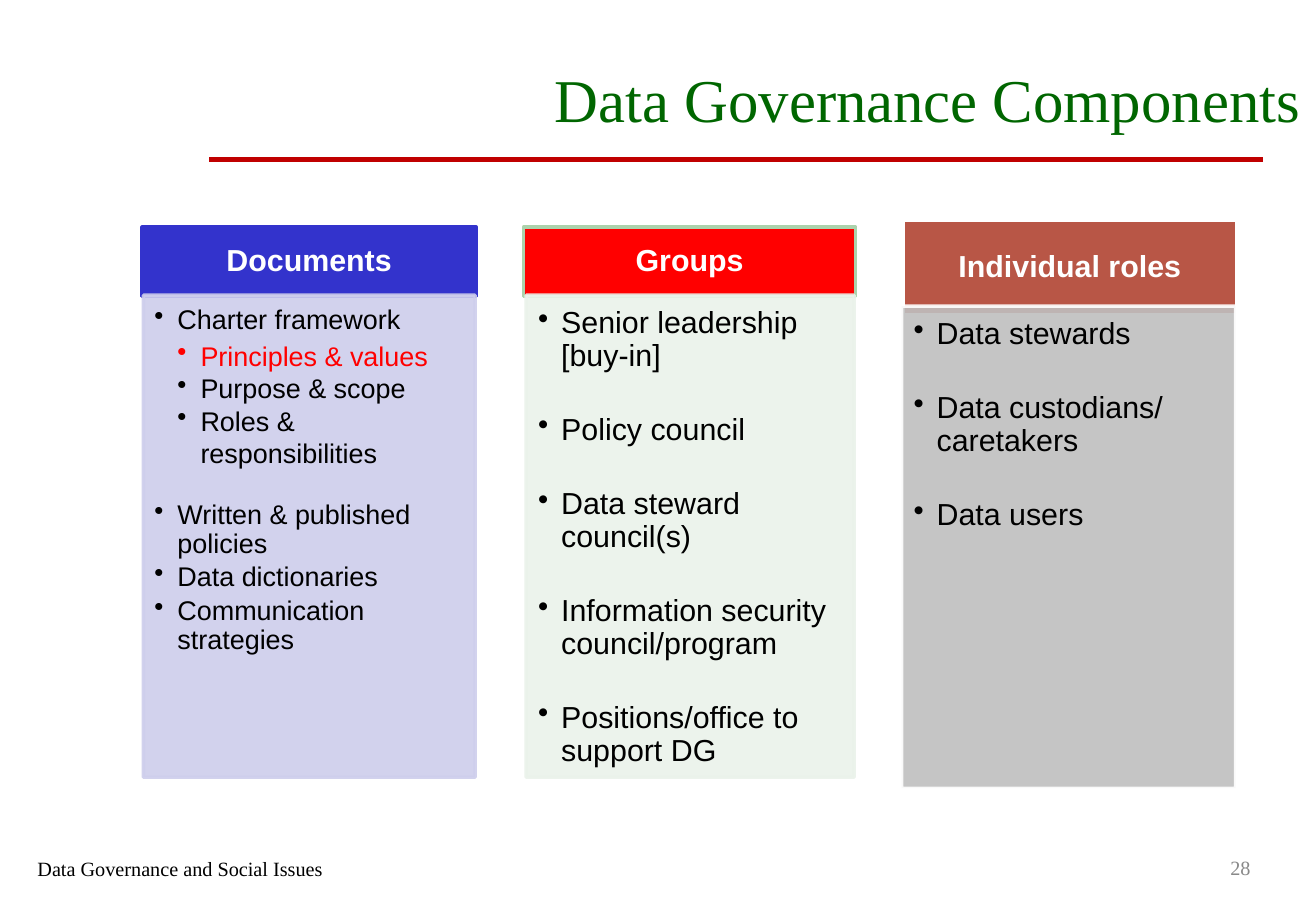
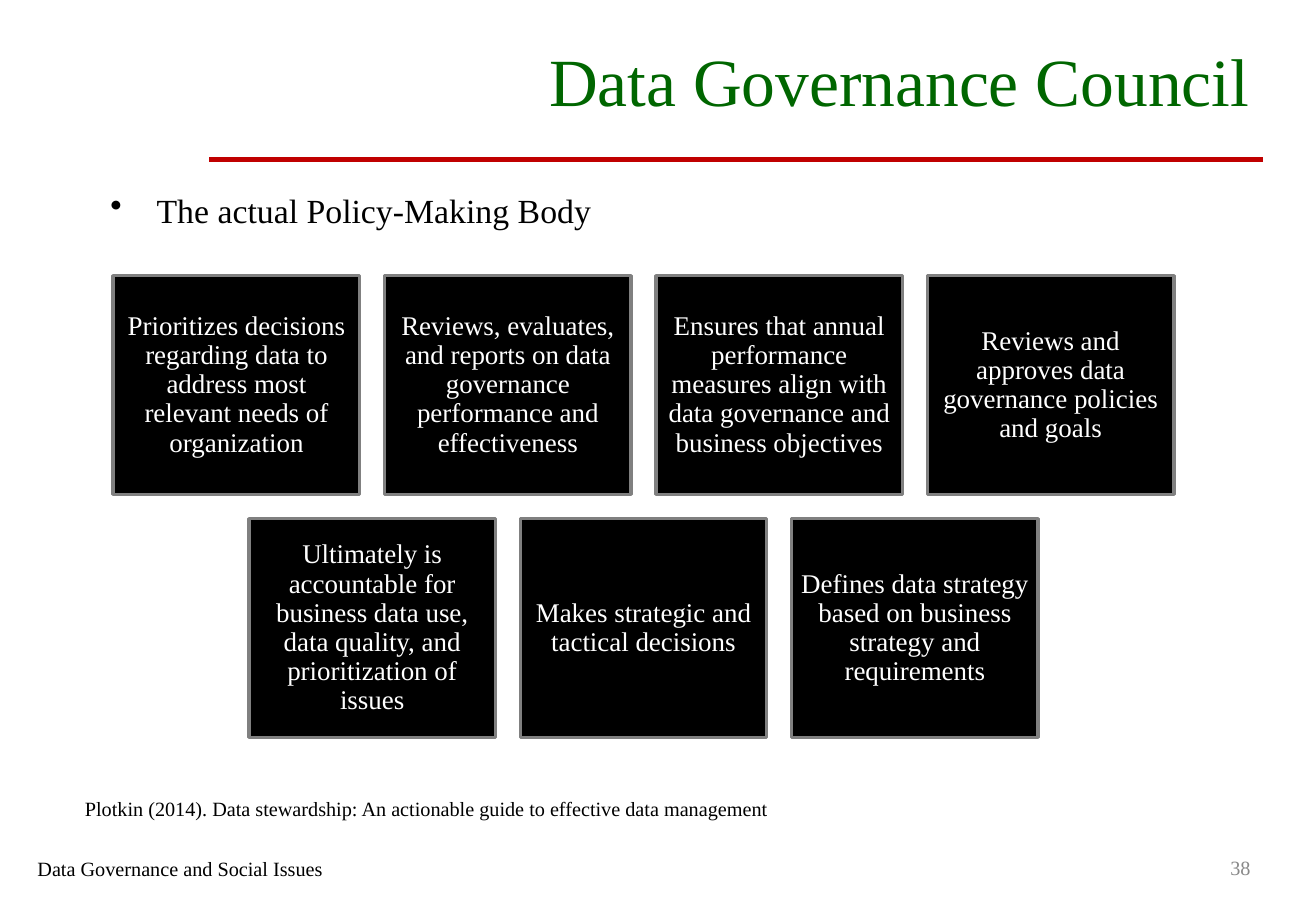
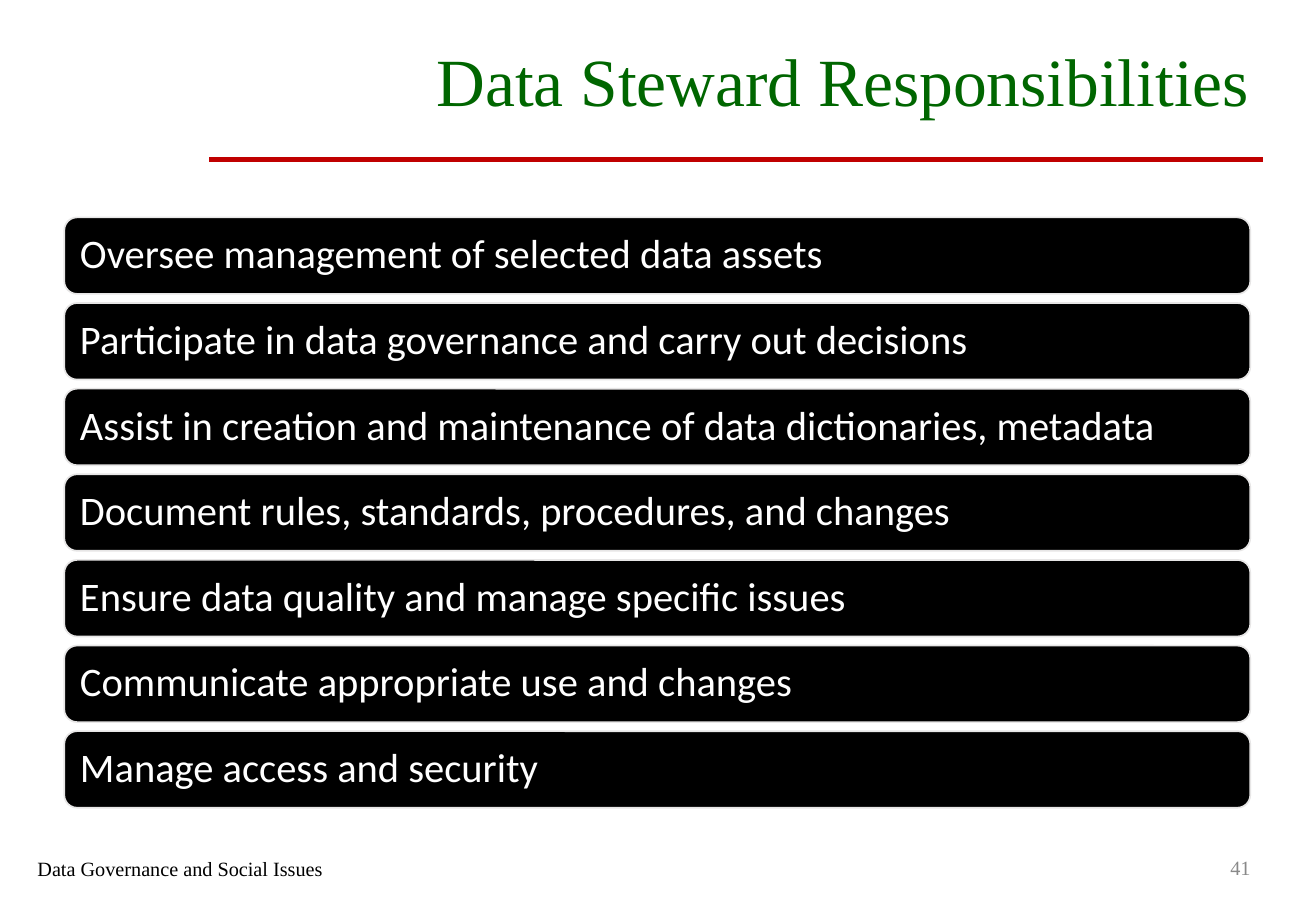
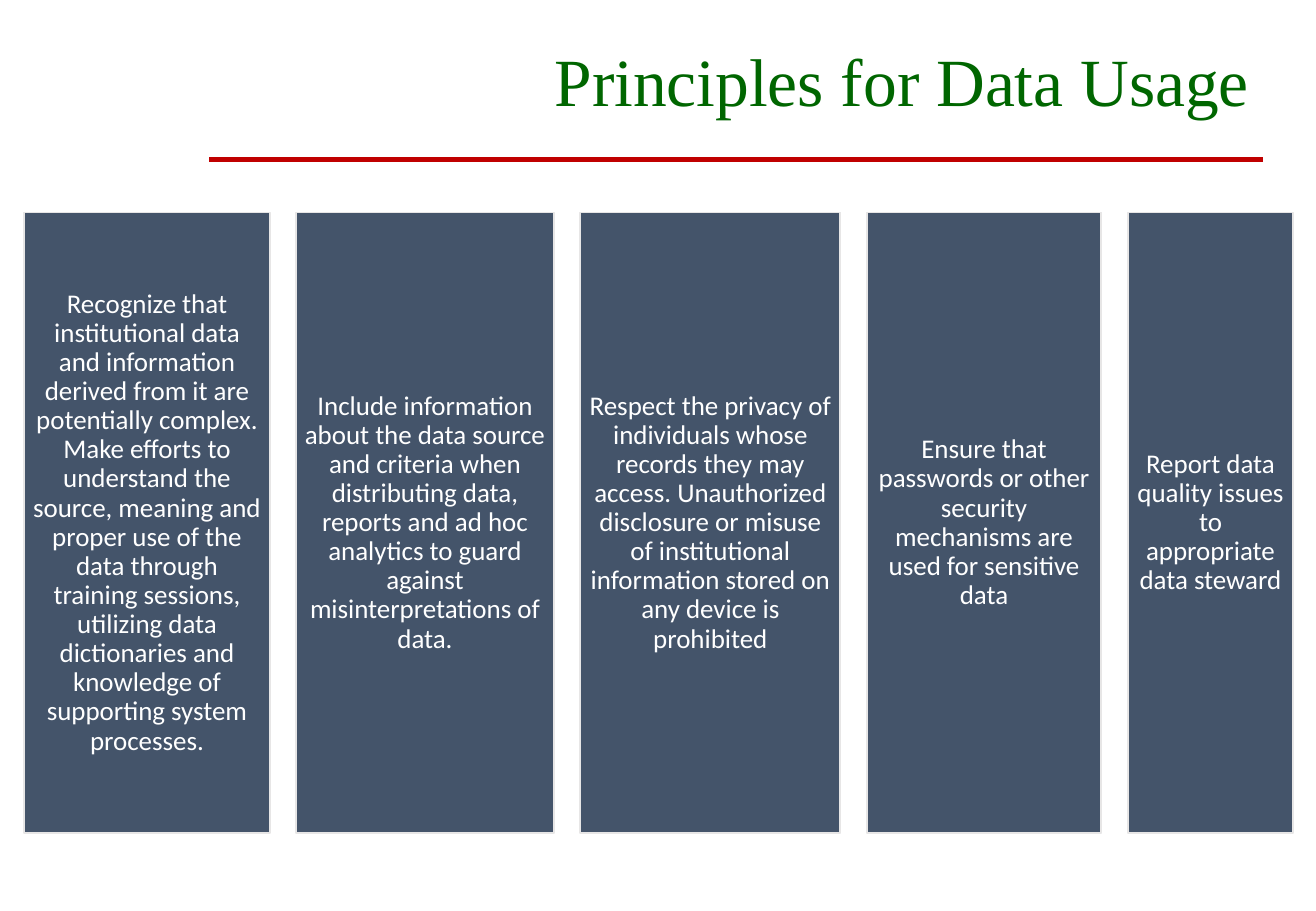
"""Builds four data governance slides on one shared frame."""
from dataclasses import dataclass
from typing import Any, Sequence

from lxml import etree
from pptx import Presentation
from pptx.dml.color import RGBColor
from pptx.enum.shapes import MSO_CONNECTOR, MSO_SHAPE
from pptx.enum.text import MSO_ANCHOR, PP_ALIGN
from pptx.oxml.ns import qn
from pptx.util import Inches, Pt

LEFT, CENTER, RIGHT = PP_ALIGN.LEFT, PP_ALIGN.CENTER, PP_ALIGN.RIGHT
TOP, MIDDLE = MSO_ANCHOR.TOP, MSO_ANCHOR.MIDDLE
RECTANGLE, ROUNDED = MSO_SHAPE.RECTANGLE, MSO_SHAPE.ROUNDED_RECTANGLE
STRAIGHT = MSO_CONNECTOR.STRAIGHT

BLACK = RGBColor(0x00, 0x00, 0x00)
WHITE = RGBColor(0xFF, 0xFF, 0xFF)
RED = RGBColor(0xFF, 0x00, 0x00)
TITLE_GREEN = RGBColor(0x00, 0x66, 0x00)
RULE_RED = RGBColor(0xC0, 0x00, 0x00)
NUMBER_GRAY = RGBColor(0x89, 0x89, 0x89)
TILE_GRAY = RGBColor(0x80, 0x80, 0x80)
PALE_GRAY = RGBColor(0xE7, 0xE6, 0xE6)
SLATE = RGBColor(0x44, 0x54, 0x6A)
BLUE = RGBColor(0x33, 0x33, 0xCC)
PALE_BLUE = RGBColor(0xCE, 0xCE, 0xEC)
GREEN_EDGE = RGBColor(0xAC, 0xD2, 0xAC)
PALE_GREEN = RGBColor(0xEA, 0xF2, 0xEA)
BRICK = RGBColor(0xB8, 0x56, 0x46)
SILVER = RGBColor(0xBF, 0xBF, 0xBF)

SERIF, SANS, HUMANIST = "Times New Roman", "Arial", "Calibri"
SLIDE_WIDTH, SLIDE_HEIGHT = Inches(10.83), Inches(7.5)
TEXT_INSETS = (0.1, 0.05, 0.1, 0.05)
TILE_INSETS = (0.07,) * 4
HEADER_INSETS = (0.14, 0.08, 0.14, 0.08)
BULLET_INDENT = 0.19
ITEM_GAP = 2.5
WIDE_GAP = 24.5
SECTION_GAP = 19


@dataclass(frozen=True)
class Box:
    """Area given in percent of the slide's width and height."""
    left: float
    top: float
    width: float
    height: float

    def lengths(self) -> tuple[int, int, int, int]:
        """Return the area as slide lengths."""
        return (across(self.left), down(self.top), across(self.width), down(self.height))


@dataclass(frozen=True)
class Style:
    """Look of a text block."""
    font: str
    size: float
    color: RGBColor
    bold: bool = False
    align: Any = LEFT
    anchor: Any = TOP
    insets: tuple[float, ...] = TEXT_INSETS


@dataclass(frozen=True)
class Item:
    """One paragraph with its indent in inches and spacing in points."""
    text: str
    color: RGBColor | None = None
    indent: float = 0
    hanging: float = 0
    line_spacing: float = 1.0
    space_before: float = 0
    space_after: float = 0


@dataclass(frozen=True)
class Paint:
    """Fill and outline of a shape."""
    fill: RGBColor
    line: RGBColor
    width: float
    opacity: int = 100


@dataclass(frozen=True)
class Column:
    """A header above a bulleted panel."""
    header: str
    header_box: Box
    header_paint: Paint
    panel_box: Box
    panel_paint: Paint
    panel_style: Style
    items: Sequence[Item]


TITLE_BOX = Box(18.01, 2.13, 77.84, 13.2)
WIDE_TITLE_BOX = Box(2.59, 4.13, 97.14, 13.2)
FOOTER_BOX = Box(1.94, 93.33, 24.75, 3.73)
NUMBER_BOX = Box(90.77, 92.53, 5.17, 5.33)
RULE_LEFT, RULE_RIGHT, RULE_TOP = 15.88, 95.94, 17.47

SMALL = Style(SERIF, 12, BLACK)
NUMBER = Style(SERIF, 12, NUMBER_GRAY, align=RIGHT, anchor=MIDDLE)
LEAD = Style(SERIF, 20, BLACK)
HEADER = Style(SANS, 18, WHITE, True, CENTER, MIDDLE, HEADER_INSETS)
PANEL = Style(SANS, 18, BLACK, insets=(0.1, 0.1, 0.14, 0.16))
DENSE_PANEL = Style(SANS, 16, BLACK, insets=(0.09, 0.09, 0.12, 0.14))
TILE = Style(SERIF, 16, WHITE, align=CENTER, anchor=MIDDLE, insets=TILE_INSETS)
BAR = Style(HUMANIST, 24, WHITE, anchor=MIDDLE, insets=(0.1,) * 4)
PILLAR = Style(HUMANIST, 16, WHITE, align=CENTER, anchor=MIDDLE, insets=TILE_INSETS)

TILE_PAINT = Paint(BLACK, TILE_GRAY, 2)
BAR_PAINT = Paint(BLACK, PALE_GRAY, 1)
PILLAR_PAINT = Paint(SLATE, PALE_GRAY, 1)


def across(percent: float) -> int:
    """Return a share of the slide's width."""
    return round(SLIDE_WIDTH * percent / 100)


def down(percent: float) -> int:
    """Return a share of the slide's height."""
    return round(SLIDE_HEIGHT * percent / 100)


def bullet(text: str, space_after: float = ITEM_GAP) -> Item:
    """Return a first-level bullet."""
    return Item(text, None, BULLET_INDENT, BULLET_INDENT, 0.9, 0, space_after)


def sub_bullet(text: str, color: RGBColor | None = None, space_after: float = 0) -> Item:
    """Return a second-level bullet."""
    return Item(text, color, 2 * BULLET_INDENT, BULLET_INDENT, 1.0, 0, space_after)


def apply_format(target: Any, values: dict[str, Any]) -> None:
    """Set every named attribute on the target."""
    for name, value in values.items():
        setattr(target, name, value)


def write_text(shape: Any, items: Sequence[Item], style: Style) -> None:
    """Fill a shape with styled paragraphs."""
    frame = shape.text_frame
    left, top, right, bottom = (Inches(inset) for inset in style.insets)
    apply_format(frame, {
        "word_wrap": True, "vertical_anchor": style.anchor,
        "margin_left": left, "margin_top": top,
        "margin_right": right, "margin_bottom": bottom,
    })
    for index, item in enumerate(items):
        paragraph = frame.add_paragraph() if index else frame.paragraphs[0]
        apply_format(paragraph, {
            "alignment": style.align, "line_spacing": item.line_spacing,
            "space_before": Pt(item.space_before), "space_after": Pt(item.space_after),
        })
        run = paragraph.add_run()
        run.text = item.text
        apply_format(run.font, {"name": style.font, "size": Pt(style.size), "bold": style.bold})
        run.font.color.rgb = item.color or style.color
        if item.hanging:
            properties = paragraph._p.get_or_add_pPr()
            properties.set("marL", str(Inches(item.indent)))
            properties.set("indent", str(-Inches(item.hanging)))
            etree.SubElement(properties, qn("a:buChar")).set("char", "•")


def add_text(slide: Any, box: Box, item: Item, style: Style) -> None:
    """Add a one-paragraph text box."""
    write_text(slide.shapes.add_textbox(*box.lengths()), [item], style)


def add_panel(slide: Any, box: Box, paint: Paint, items: Sequence[Item], style: Style,
              preset: Any = RECTANGLE) -> None:
    """Add a painted shape that holds text."""
    shape = slide.shapes.add_shape(preset, *box.lengths())
    shape.shadow.inherit = False
    shape.fill.solid()
    shape.fill.fore_color.rgb = paint.fill
    shape.line.color.rgb = paint.line
    shape.line.width = Pt(paint.width)
    if paint.opacity < 100:
        for color in shape._element.spPr.findall(".//" + qn("a:srgbClr")):
            etree.SubElement(color, qn("a:alpha")).set("val", str(paint.opacity * 1000))
    write_text(shape, items, style)


def add_frame(presentation: Any, title: str, number: str = "", box: Box = TITLE_BOX,
              size: float = 40) -> Any:
    """Add a slide with title, rule and, when numbered, a footer."""
    slide = presentation.slides.add_slide(presentation.slide_layouts[6])
    rule = slide.shapes.add_connector(
        STRAIGHT, across(RULE_RIGHT), down(RULE_TOP), across(RULE_LEFT), down(RULE_TOP))
    rule.line.color.rgb = RULE_RED
    rule.line.width = Pt(3)
    etree.SubElement(rule._element.spPr, qn("a:effectLst"))
    add_text(slide, box, Item(title), Style(SERIF, size, TITLE_GREEN, align=RIGHT, anchor=MIDDLE))
    if number:
        add_text(slide, NUMBER_BOX, Item(number), NUMBER)
        add_text(slide, FOOTER_BOX, Item("Data Governance and Social Issues"), SMALL)
    return slide


def build_components(presentation: Any) -> None:
    """Build the slide with three headed columns."""
    slide = add_frame(presentation, "Data Governance Components", "28", WIDE_TITLE_BOX, 36)
    columns = (
        Column(
            "Documents", Box(10.8, 24.93, 25.39, 7.6), Paint(BLUE, BLUE, 2),
            Box(10.9, 32.4, 25.21, 52.93), Paint(PALE_BLUE, PALE_BLUE, 2, 90), DENSE_PANEL,
            (
                bullet("Charter framework"),
                sub_bullet("Principles & values", RED),
                sub_bullet("Purpose & scope"),
                sub_bullet("Roles & responsibilities", space_after=SECTION_GAP),
                bullet("Written & published policies"),
                bullet("Data dictionaries"),
                bullet("Communication strategies"),
            )),
        Column(
            "Groups", Box(39.8, 24.93, 25.21, 7.6), Paint(RED, GREEN_EDGE, 2),
            Box(39.98, 32.4, 24.93, 52.93), Paint(PALE_GREEN, PALE_GREEN, 2, 90), PANEL,
            [bullet(text, WIDE_GAP) for text in (
                "Senior leadership [buy-in]",
                "Policy council",
                "Data steward council(s)",
                "Information security council/program",
                "Positions/office to support DG",
            )]),
        Column(
            "Individual roles", Box(68.61, 24.13, 25.39, 10.4), Paint(BRICK, WHITE, 2),
            Box(68.51, 33.6, 25.39, 52.93), Paint(SILVER, WHITE, 2, 90), PANEL,
            [bullet(text, WIDE_GAP) for text in (
                "Data stewards",
                "Data custodians/ caretakers",
                "Data users",
            )]),
    )
    for column in columns:
        add_panel(slide, column.header_box, column.header_paint,
                  [Item(column.header, line_spacing=0.9)], HEADER)
        add_panel(slide, column.panel_box, column.panel_paint, column.items, column.panel_style)


def build_council(presentation: Any) -> None:
    """Build the slide with two centred rows of tiles."""
    slide = add_frame(presentation, "Data Governance Council", "38")
    add_text(slide, Box(7.48, 20.13, 88.37, 6.67),
             Item("The actual Policy-Making Body", indent=0.38, hanging=0.38, space_before=4), LEAD)
    rows = (
        (
            "Prioritizes decisions regarding data to address most relevant needs of organization",
            "Reviews, evaluates, and reports on data governance performance and effectiveness",
            "Ensures that annual performance measures align with data governance and "
            "business objectives",
            "Reviews and approves data governance policies and goals",
        ),
        (
            "Ultimately is accountable for business data use, data quality, and "
            "prioritization of issues",
            "Makes strategic and tactical decisions",
            "Defines data strategy based on business strategy and requirements",
        ),
    )
    center, top, width, height = 48.9, 30.27, 18.74, 24
    column_pitch, row_pitch = width + 1.88, height + 2.67
    for row, texts in enumerate(rows):
        left = center - ((len(texts) - 1) * column_pitch + width) / 2
        for column, text in enumerate(texts):
            box = Box(left + column * column_pitch, top + row * row_pitch, width, height)
            add_panel(slide, box, TILE_PAINT, [Item(text, line_spacing=0.9)], TILE)
    add_text(slide, Box(5.54, 86.8, 94.46, 4), Item(
        "Plotkin (2014). Data stewardship: An actionable guide to effective data management"),
        SMALL)


def build_responsibilities(presentation: Any) -> None:
    """Build the slide with a stack of rounded bars."""
    slide = add_frame(presentation, "Data Steward Responsibilities", "41")
    duties = (
        "Oversee management of selected data assets",
        "Participate in data governance and carry out decisions",
        "Assist in creation and maintenance of data dictionaries, metadata",
        "Document rules, standards, procedures, and changes",
        "Ensure data quality and manage specific issues",
        "Communicate appropriate use and changes",
        "Manage access and security",
    )
    for row, duty in enumerate(duties):
        add_panel(slide, Box(4.89, 23.87 + row * 9.4, 90.12, 8.4), BAR_PAINT,
                  [Item(duty, line_spacing=0.9)], BAR, ROUNDED)


def build_principles(presentation: Any) -> None:
    """Build the slide with five pillars of varying width."""
    slide = add_frame(presentation, "Principles for Data Usage")
    pillars = (
        (18.65, "Recognize that institutional data and information derived from it are "
                "potentially complex. Make efforts to understand the source, meaning and "
                "proper use of the data through training sessions, utilizing data "
                "dictionaries and knowledge of supporting system processes."),
        (19.58, "Include information about the data source and criteria when distributing "
                "data, reports and ad hoc analytics to guard against misinterpretations "
                "of data."),
        (19.76, "Respect the privacy of individuals whose records they may access. "
                "Unauthorized disclosure or misuse of institutional information stored on "
                "any device is prohibited"),
        (17.82, "Ensure that passwords or other security mechanisms are used for "
                "sensitive data"),
        (12.56, "Report data quality issues to appropriate data steward"),
    )
    left, gap = 1.85, 2.01
    for width, text in pillars:
        add_panel(slide, Box(left, 23.33, width, 68.13), PILLAR_PAINT,
                  [Item(text, line_spacing=0.9)], PILLAR)
        left += width + gap


def main() -> None:
    """Build and save the presentation."""
    presentation = Presentation()
    apply_format(presentation, {"slide_width": SLIDE_WIDTH, "slide_height": SLIDE_HEIGHT})
    for build in (build_components, build_council, build_responsibilities, build_principles):
        build(presentation)
    presentation.save("out.pptx")


if __name__ == "__main__":
    main()
